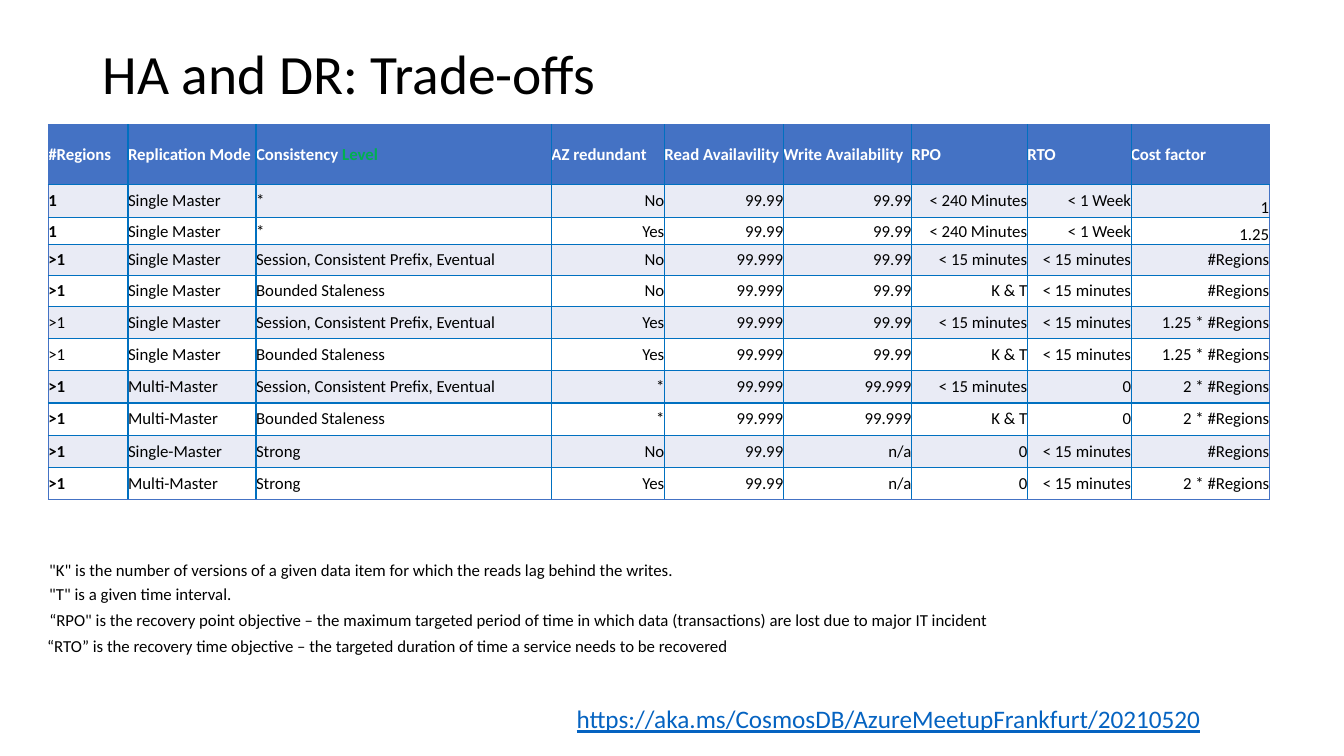
from dataclasses import dataclass

import pptx
import pptx.dml.color
import pptx.enum.text
import pptx.oxml
import pptx.oxml.ns
import pptx.util

Inches = pptx.util.Inches
Anchor = pptx.enum.text.MSO_ANCHOR
Align = pptx.enum.text.PP_ALIGN
Fit = pptx.enum.text.MSO_AUTO_SIZE


@dataclass(frozen=True)
class Theme:
    font: str = "Calibri"
    title: float = 39.6
    body: float = 12
    link: float = 18
    black: str = "000000"
    white: str = "FFFFFF"
    blue: str = "4472C4"
    grid: str = "0070C0"
    band: str = "E9EBF5"
    green: str = "00B050"
    url: str = "0563C1"


THEME = Theme()


@dataclass(frozen=True)
class Note:
    text: str
    left: float
    top: float
    width: float
    height: float = 0.3
    size: float = THEME.body
    color: str = THEME.black
    under: bool = False


@dataclass(frozen=True)
class Plan:
    """One body row of the table."""
    regions: str
    mode: str
    level: str
    zone: str
    reads: str
    writes: str
    rpo: str
    rto: str
    cost: str
    bold: bool = True
    low: bool = False

    def texts(self) -> list[str]:
        return [self.regions, self.mode, self.level, self.zone, self.reads,
                self.writes, self.rpo, self.rto, self.cost]


HEADS = ["#Regions", "Replication Mode", "Consistency ", "AZ redundant",
         "Read Availavility", "Write Availability", "RPO", "RTO", "Cost factor"]
WIDTHS = [0.79, 1.27, 2.93, 1.12, 1.18, 1.27, 1.15, 1.03, 1.37]
HEIGHTS = [0.59, 0.33, 0.27, 0.3, 0.31] + [0.32] * 6

SINGLE, MULTI = "Single Master", "Multi-Master"
LOOSE, BOUND = "Session, Consistent Prefix, Eventual", "Bounded Staleness"
DAY, QUICK, LAG = "< 240 Minutes", "< 15 minutes", "K & T"
THREE, FOUR = "99.99", "99.999"

PLANS = [
    Plan("1", SINGLE, "*", "No", THREE, THREE, DAY, "< 1 Week", "1", low=True),
    Plan("1", SINGLE, "*", "Yes", THREE, THREE, DAY, "< 1 Week", "1.25", low=True),
    Plan(">1", SINGLE, LOOSE, "No", FOUR, THREE, QUICK, QUICK, "#Regions"),
    Plan(">1", SINGLE, BOUND, "No", FOUR, THREE, LAG, QUICK, "#Regions"),
    Plan(">1", SINGLE, LOOSE, "Yes", FOUR, THREE, QUICK, QUICK, "1.25 * #Regions", bold=False),
    Plan(">1", SINGLE, BOUND, "Yes", FOUR, THREE, LAG, QUICK, "1.25 * #Regions", bold=False),
    Plan(">1", MULTI, LOOSE, "*", FOUR, FOUR, QUICK, "0", "2 * #Regions"),
    Plan(">1", MULTI, BOUND, "*", FOUR, FOUR, LAG, "0", "2 * #Regions"),
    Plan(">1", "Single-Master", "Strong", "No", THREE, "n/a", "0", QUICK, "#Regions"),
    Plan(">1", MULTI, "Strong", "Yes", THREE, "n/a", "0", QUICK, "2 * #Regions"),
]

NOTES = [
    Note('"K" is the number of versions of a given data item for which the reads '
         'lag behind the writes.', 0.39, 5.5, 6.46),
    Note('"T" is a given time interval.', 0.39, 5.74, 2.03),
    Note('“RPO" is the recovery point objective – the maximum targeted period of time '
         'in which data (transactions) are lost due to major IT incident', 0.39, 6, 9.55),
    Note('“RTO” is the recovery time objective – the targeted duration of time '
         'a service needs to be recovered', 0.37, 6.26, 7.04),
    Note("https://aka.ms/CosmosDB/AzureMeetupFrankfurt/20210520", 5.62, 6.93, 6.46, 0.4,
         THEME.link, THEME.url, True),
]


def paint(color: str) -> pptx.dml.color.RGBColor:
    return pptx.dml.color.RGBColor.from_string(color)


def put(para, text: str, size: float, color: str, bold: bool = False,
        under: bool = False) -> None:
    """Add one formatted run to the paragraph."""
    run = para.add_run()
    run.text = text
    font = run.font
    font.name, font.size = THEME.font, pptx.util.Pt(size)
    font.color.rgb = paint(color)
    font.bold, font.underline = bold, under


def edge(cell, row: int, col: int) -> None:
    """Draw the cell borders, with the outer frame in its own blue."""
    outer = {"L": col == 0, "R": col == len(HEADS) - 1,
             "T": row == 0, "B": row == len(PLANS)}
    props = cell._tc.get_or_add_tcPr()
    for side, rim in outer.items():
        color = THEME.blue if rim else THEME.grid
        props.append(pptx.oxml.parse_xml(
            f'<a:ln{side} {pptx.oxml.ns.nsdecls("a")} w="12700"><a:solidFill>'
            f'<a:srgbClr val="{color}"/></a:solidFill></a:ln{side}>'))


def style(cell, fill: str, anchor: Anchor) -> None:
    cell.margin_left = cell.margin_right = cell.margin_top = cell.margin_bottom = 0
    cell.vertical_anchor = anchor
    cell.fill.solid()
    cell.fill.fore_color.rgb = paint(fill)


def add_grid(slide) -> None:
    table = slide.shapes.add_table(
        len(HEIGHTS), len(WIDTHS), Inches(0.48), Inches(1.24),
        Inches(12.11), Inches(3.69)).table
    table.horz_banding = False
    for column, width in zip(table.columns, WIDTHS):
        column.width = Inches(width)
    for row, height in zip(table.rows, HEIGHTS):
        row.height = Inches(height)

    for col, head in enumerate(HEADS):
        cell = table.cell(0, col)
        edge(cell, 0, col)
        style(cell, THEME.blue, Anchor.MIDDLE)
        para = cell.text_frame.paragraphs[0]
        put(para, head, THEME.body, THEME.white, True)
        if head == "Consistency ":
            put(para, "Level", THEME.body, THEME.green, True)

    for row, plan in enumerate(PLANS, 1):
        for col, text in enumerate(plan.texts()):
            cell = table.cell(row, col)
            edge(cell, row, col)
            low = plan.low and col == len(HEADS) - 1
            style(cell, THEME.band if row % 2 else THEME.white,
                  Anchor.BOTTOM if low else Anchor.MIDDLE)
            para = cell.text_frame.paragraphs[0]
            para.alignment = Align.RIGHT if col > 2 else Align.LEFT
            put(para, text, THEME.body, THEME.black, plan.bold and col == 0)


def add_title(slide, text: str) -> None:
    title = slide.shapes.title
    title.left, title.top = Inches(0.92), Inches(0.4)
    title.width, title.height = Inches(11.5), Inches(0.71)
    frame = title.text_frame
    frame.auto_size, frame.vertical_anchor = Fit.NONE, Anchor.MIDDLE
    para = frame.paragraphs[0]
    para.alignment, para.line_spacing = Align.LEFT, 0.9
    put(para, text, THEME.title, THEME.black)


def add_note(slide, note: Note) -> None:
    frame = slide.shapes.add_textbox(
        Inches(note.left), Inches(note.top),
        Inches(note.width), Inches(note.height)).text_frame
    frame.word_wrap, frame.auto_size = False, Fit.SHAPE_TO_FIT_TEXT
    put(frame.paragraphs[0], note.text, note.size, note.color, under=note.under)


def main() -> None:
    deck = pptx.Presentation()
    deck.slide_width, deck.slide_height = Inches(13.33), Inches(7.5)
    slide = deck.slides.add_slide(deck.slide_layouts[5])
    add_title(slide, "HA and DR: Trade-offs")
    add_grid(slide)
    for note in NOTES:
        add_note(slide, note)
    deck.save("out.pptx")


if __name__ == "__main__":
    main()
